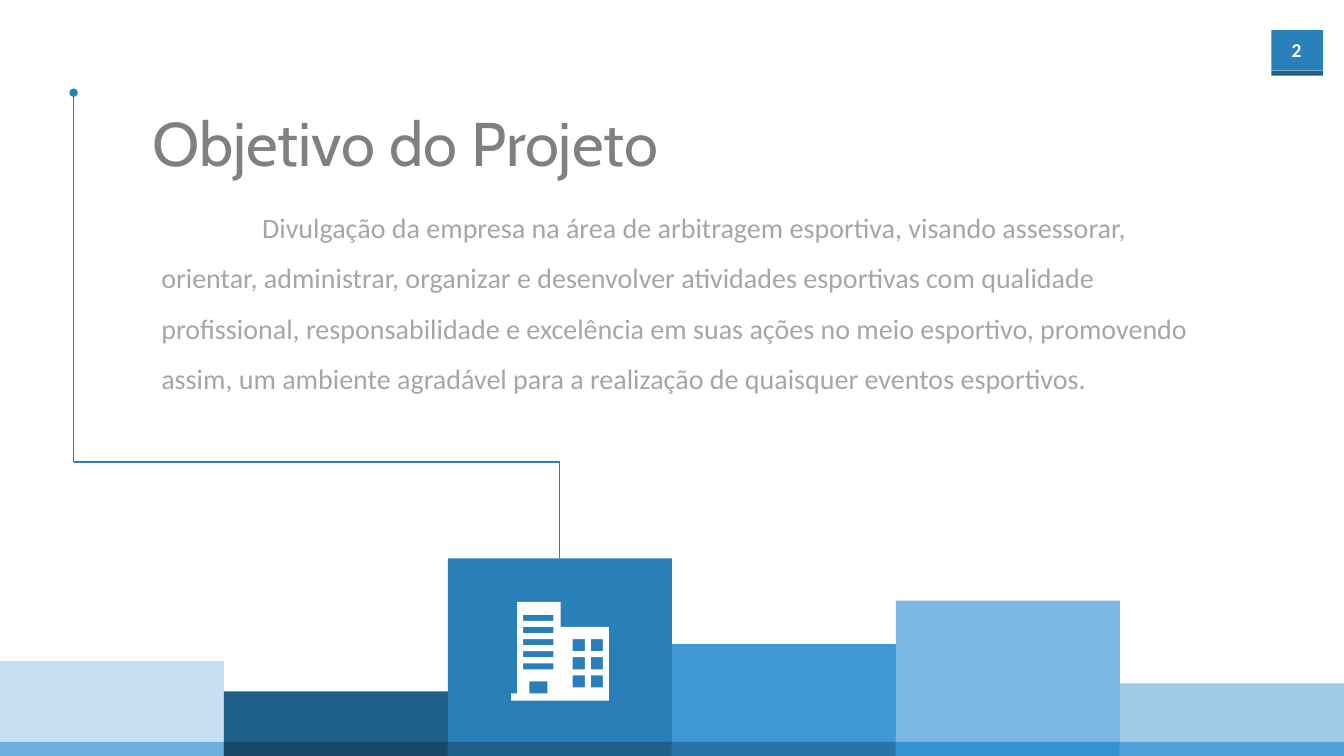
"""Build the project goal slide with its skyline of blue bars."""
import dataclasses
import itertools

import lxml.etree
import pptx
import pptx.dml.color
import pptx.enum.shapes
import pptx.enum.text
import pptx.oxml.ns
import pptx.util

Inches = pptx.util.Inches
Align = pptx.enum.text.PP_ALIGN


@dataclasses.dataclass(frozen=True)
class Theme:
    white: str = "FFFFFF"
    blue: str = "2980B9"
    navy: str = "1F608B"
    head: str = "808080"
    text: str = "A6A6A6"
    title_font: str = "Cabin"
    body_font: str = "Calibri"
    title_size: int = 44
    body_size: int = 20
    page_size: int = 14
    line_size: float = 1.25


@dataclasses.dataclass(frozen=True)
class Box:
    left: float
    top: float
    width: float
    height: float


@dataclasses.dataclass(frozen=True)
class Bar:
    height: float
    fill: str
    base: str


@dataclasses.dataclass(frozen=True)
class Style:
    font: str
    size: int
    color: str
    bold: bool = False
    align: Align = Align.LEFT
    wrap: bool = False
    space: float = 1.0
    indent: float = 0


THEME = Theme()
WIDTH, HEIGHT = 13.33, 7.5
BASE = 0.14
BARS = [
    Bar(0.94, "C6E0F2", "6CAFDE"),
    Bar(0.64, THEME.navy, "174868"),
    Bar(1.96, THEME.blue, THEME.navy),
    Bar(1.11, "4098D4", "2674A9"),
    Bar(1.54, "7BB8E1", "3492D1"),
    Bar(0.72, "9FCBE9", "4FA0D7"),
]
ROUTE = [(0.73, 0.92), (0.73, 4.58), (5.55, 4.58), (5.55, 5.54)]
GOAL = (
    "Divulgação da empresa na área de arbitragem esportiva, visando assessorar, "
    "orientar, administrar, organizar e desenvolver atividades esportivas com "
    "qualidade profissional, responsabilidade e excelência em suas ações no meio "
    "esportivo, promovendo assim, um ambiente agradável para a realização de "
    "quaisquer eventos esportivos."
)


def paint(shape, color: str) -> None:
    shape.shadow.inherit = False
    shape.fill.solid()
    shape.fill.fore_color.rgb = pptx.dml.color.RGBColor.from_string(color)
    shape.line.fill.background()


def add_block(slide, box: Box, color: str) -> None:
    kind = pptx.enum.shapes.MSO_SHAPE.RECTANGLE
    paint(slide.shapes.add_shape(kind, *map(Inches, dataclasses.astuple(box))), color)


def add_child(parent, tag: str, **attrs: str) -> None:
    lxml.etree.SubElement(parent, pptx.oxml.ns.qn(tag), **attrs)


def write(shape, box: Box, text: str, style: Style) -> None:
    shape.left, shape.top, shape.width, shape.height = map(
        Inches, dataclasses.astuple(box))
    frame = shape.text_frame
    frame.text = text
    frame.word_wrap = style.wrap
    frame.auto_size = pptx.enum.text.MSO_AUTO_SIZE.SHAPE_TO_FIT_TEXT
    frame.vertical_anchor = pptx.enum.text.MSO_ANCHOR.TOP
    para = frame.paragraphs[0]
    para.alignment = style.align
    para.line_spacing = style.space
    para.space_before = pptx.util.Pt(0)
    props = para._p.get_or_add_pPr()
    props.set("marL", "0")
    props.set("indent", str(Inches(style.indent)))
    add_child(props, "a:buNone")
    font = para.font
    font.name = style.font
    font.size = pptx.util.Pt(style.size)
    font.bold = style.bold
    font.color.rgb = pptx.dml.color.RGBColor.from_string(style.color)


def add_route(slide) -> None:
    kind = pptx.enum.shapes.MSO_CONNECTOR.STRAIGHT
    for start, end in itertools.pairwise(ROUTE):
        link = slide.shapes.add_connector(kind, *map(Inches, start + end))
        link.line.width = pptx.util.Pt(THEME.line_size)
        link.line.color.rgb = pptx.dml.color.RGBColor.from_string(THEME.blue)
        if start == ROUTE[0]:
            add_child(link.line._ln, "a:headEnd", type="oval")
        add_child(link._element.spPr, "a:effectLst")


def add_icon(slide) -> None:
    outline = [(556, 622), (556, 597), (513, 597), (513, 688),
               (507, 688), (507, 695), (604, 695), (604, 622)]
    door = (525, 676, 18, 12)
    slats = [(519, 610 + 12 * row, 30, 6) for row in range(5)]
    panes = [(568 + 18 * col, 634 + 18 * row, 12, 12)
             for col in range(2) for row in range(3)]
    form = slide.shapes.build_freeform(*outline[0], scale=Inches(0.01))
    form.add_line_segments(outline[1:], close=True)
    for left, top, width, height in [door, *slats, *panes]:
        right, low = left + width, top + height
        form.move_to(right, low)
        form.add_line_segments([(left, low), (left, top), (right, top)], close=True)
    paint(form.convert_to_shape(), THEME.white)


def main() -> None:
    deck = pptx.Presentation()
    deck.slide_width, deck.slide_height = Inches(WIDTH), Inches(HEIGHT)
    slide = deck.slides.add_slide(deck.slide_layouts[1])

    add_block(slide, Box(12.61, 0.3, 0.51, 0.4), THEME.blue)
    add_block(slide, Box(12.61, 0.7, 0.51, 0.05), THEME.navy)
    page = slide.shapes.add_textbox(0, 0, 0, 0)
    write(page, Box(12.64, 0.33, 0.44, 0.34), "2",
          Style(THEME.body_font, THEME.page_size, THEME.white,
                bold=True, align=Align.CENTER))
    write(slide.shapes.title, Box(1.41, 0.99, 5.45, 0.84), "Objetivo do Projeto",
          Style(THEME.title_font, THEME.title_size, THEME.head))
    write(slide.placeholders[1], Box(1.5, 1.87, 10.66, 2.12), GOAL,
          Style(THEME.body_font, THEME.body_size, THEME.text,
                wrap=True, space=1.5, indent=1))

    step = WIDTH / len(BARS)
    for spot, bar in enumerate(BARS):
        left = spot * step
        add_block(slide, Box(left, HEIGHT - bar.height, step, bar.height), bar.fill)
        add_block(slide, Box(left, HEIGHT - BASE, step, BASE), bar.base)

    add_route(slide)
    add_icon(slide)
    deck.save("out.pptx")


if __name__ == "__main__":
    main()
